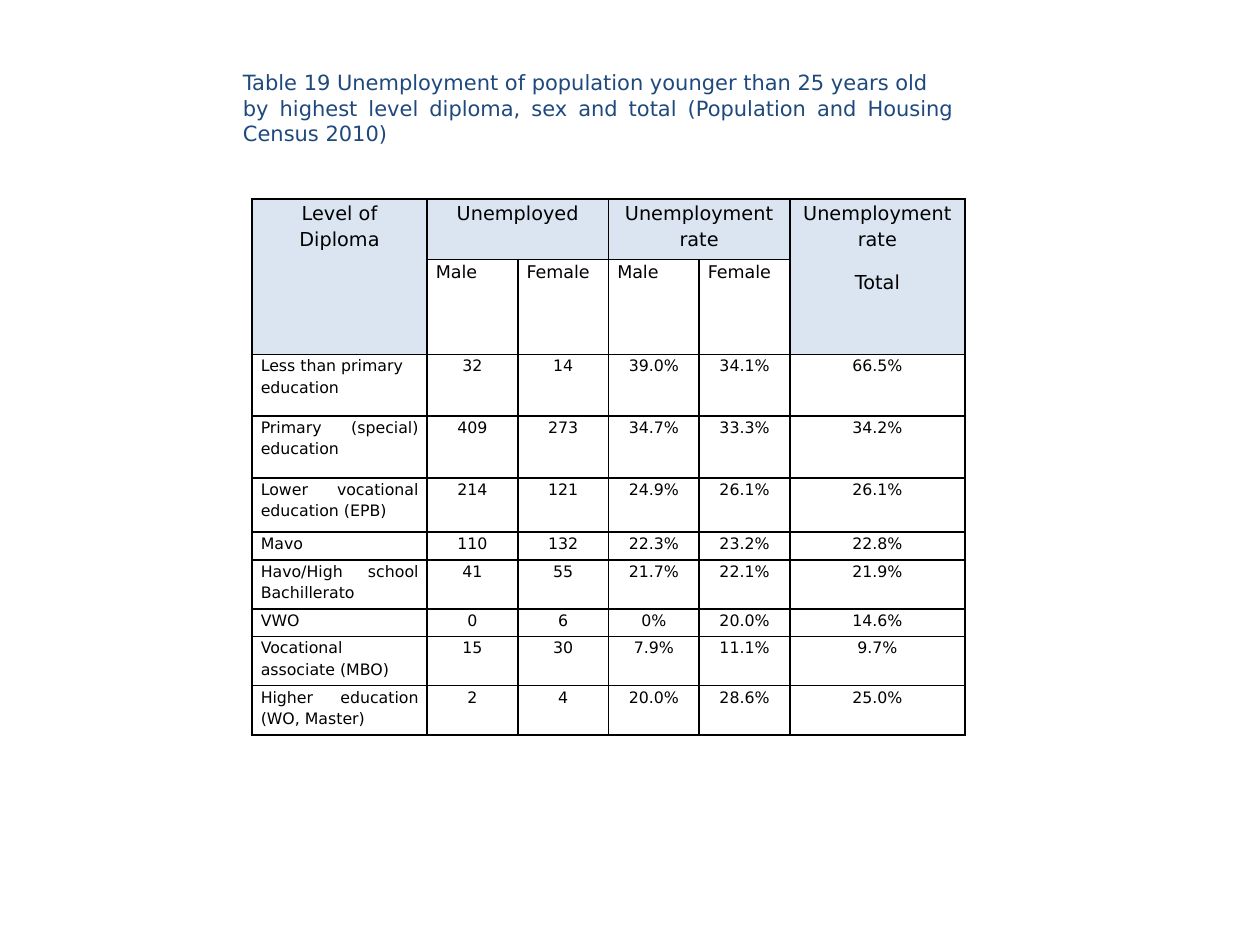
from dataclasses import dataclass

from lxml.etree import SubElement
from pptx import Presentation
from pptx.dml.color import RGBColor
from pptx.enum.text import MSO_ANCHOR, MSO_AUTO_SIZE, PP_ALIGN as Align
from pptx.oxml.ns import qn
from pptx.util import Inches, Pt

FONT = "DejaVu Sans"
COLORS = {"title": "1F497D", "text": "000000", "border": "000000", "header": "DBE5F1"}

TITLE = [
    "Table 19 Unemployment of population younger than 25 years old",
    "by highest level diploma, sex and total (Population and Housing Census 2010)",
]
COL_WIDTHS = [1.39, 0.72, 0.72, 0.72, 0.72, 1.39]
HEADER_HEIGHTS = [0.48, 0.4]


@dataclass
class Header:
    col: int
    lines: list[str]
    rows: int = 1
    cols: int = 1


@dataclass
class Diploma:
    level: str
    values: list[str]
    height: float
    align: Align = Align.JUSTIFY


HEADERS = [
    Header(0, ["Level of Diploma"], rows=2),
    Header(1, ["Unemployed"], cols=2),
    Header(3, ["Unemployment rate"], cols=2),
    Header(5, ["Unemployment rate", "Total"], rows=2),
]
SEXES = ["Male", "Female"] * 2
DIPLOMAS = [
    Diploma("Less than primary education", ["32", "14", "39.0%", "34.1%", "66.5%"], 0.49, Align.LEFT),
    Diploma("Primary (special) education", ["409", "273", "34.7%", "33.3%", "34.2%"], 0.49),
    Diploma("Lower vocational education (EPB)", ["214", "121", "24.9%", "26.1%", "26.1%"], 0.43),
    Diploma("Mavo", ["110", "132", "22.3%", "23.2%", "22.8%"], 0.22),
    Diploma("Havo/High school Bachillerato", ["41", "55", "21.7%", "22.1%", "21.9%"], 0.39),
    Diploma("VWO", ["0", "6", "0%", "20.0%", "14.6%"], 0.22),
    Diploma("Vocational associate (MBO)", ["15", "30", "7.9%", "11.1%", "9.7%"], 0.39),
    Diploma("Higher education (WO, Master)", ["2", "4", "20.0%", "28.6%", "25.0%"], 0.39),
]


def write_lines(tf, lines: list[str], size: float, color: str, align: Align) -> None:
    for i, line in enumerate(lines):
        p = tf.paragraphs[0] if i == 0 else tf.add_paragraph()
        p.text = line
        p.alignment = align
        p.font.name = FONT
        p.font.size = Pt(size)
        p.font.color.rgb = RGBColor.from_string(COLORS[color])


def style_cell(cell) -> None:
    """Clear the fill, set the insets and draw a 1 pt line on each side."""
    cell.margin_left = cell.margin_right = Inches(0.07)
    cell.margin_top = cell.margin_bottom = 0
    tc_pr = cell._tc.get_or_add_tcPr()
    for side in ("a:lnL", "a:lnR", "a:lnT", "a:lnB"):
        ln = SubElement(tc_pr, qn(side), w=str(Pt(1)))
        fill = SubElement(ln, qn("a:solidFill"))
        SubElement(fill, qn("a:srgbClr"), val=COLORS["border"])
    cell.fill.background()


def fill_cell(cell, lines: list[str], size: float, align: Align) -> None:
    write_lines(cell.text_frame, lines, size, "text", align)
    for p in cell.text_frame.paragraphs:
        p.line_spacing = 1.15
        p.space_after = Pt(10)


def add_title(slide) -> None:
    tb = slide.shapes.add_textbox(Inches(1.83), Inches(0.5), Inches(5.84), Inches(0.71))
    tf = tb.text_frame
    tf.word_wrap = True
    tf.auto_size = MSO_AUTO_SIZE.SHAPE_TO_FIT_TEXT
    tf.vertical_anchor = MSO_ANCHOR.MIDDLE
    write_lines(tf, TITLE, 12, "title", Align.JUSTIFY)


def add_unemployment_table(slide) -> None:
    heights = HEADER_HEIGHTS + [d.height for d in DIPLOMAS]
    frame = slide.shapes.add_table(
        len(heights), len(COL_WIDTHS), Inches(2), Inches(1.58),
        Inches(sum(COL_WIDTHS)), Inches(sum(heights)))
    table = frame.table
    table.first_row = table.horz_banding = False
    for column, width in zip(table.columns, COL_WIDTHS):
        column.width = Inches(width)
    for row, height in zip(table.rows, heights):
        row.height = Inches(height)
    for cell in table.iter_cells():
        style_cell(cell)

    # Shaded headers, merged over rows or columns
    for h in HEADERS:
        cell = table.cell(0, h.col)
        cell.merge(table.cell(h.rows - 1, h.col + h.cols - 1))
        cell.fill.solid()
        cell.fill.fore_color.rgb = RGBColor.from_string(COLORS["header"])
        fill_cell(cell, h.lines, 11, Align.CENTER)

    # Sex sub-headers
    for col, sex in enumerate(SEXES, start=1):
        fill_cell(table.cell(1, col), [sex], 10, Align.JUSTIFY)

    # One row per diploma level
    for row, d in enumerate(DIPLOMAS, start=len(HEADER_HEIGHTS)):
        fill_cell(table.cell(row, 0), [d.level], 9, d.align)
        for col, value in enumerate(d.values, start=1):
            fill_cell(table.cell(row, col), [value], 9, Align.CENTER)


def main() -> None:
    prs = Presentation()
    prs.slide_width, prs.slide_height = Inches(10), Inches(7.5)
    slide = prs.slides.add_slide(prs.slide_layouts[6])
    add_unemployment_table(slide)
    add_title(slide)
    prs.save("out.pptx")


if __name__ == "__main__":
    main()
